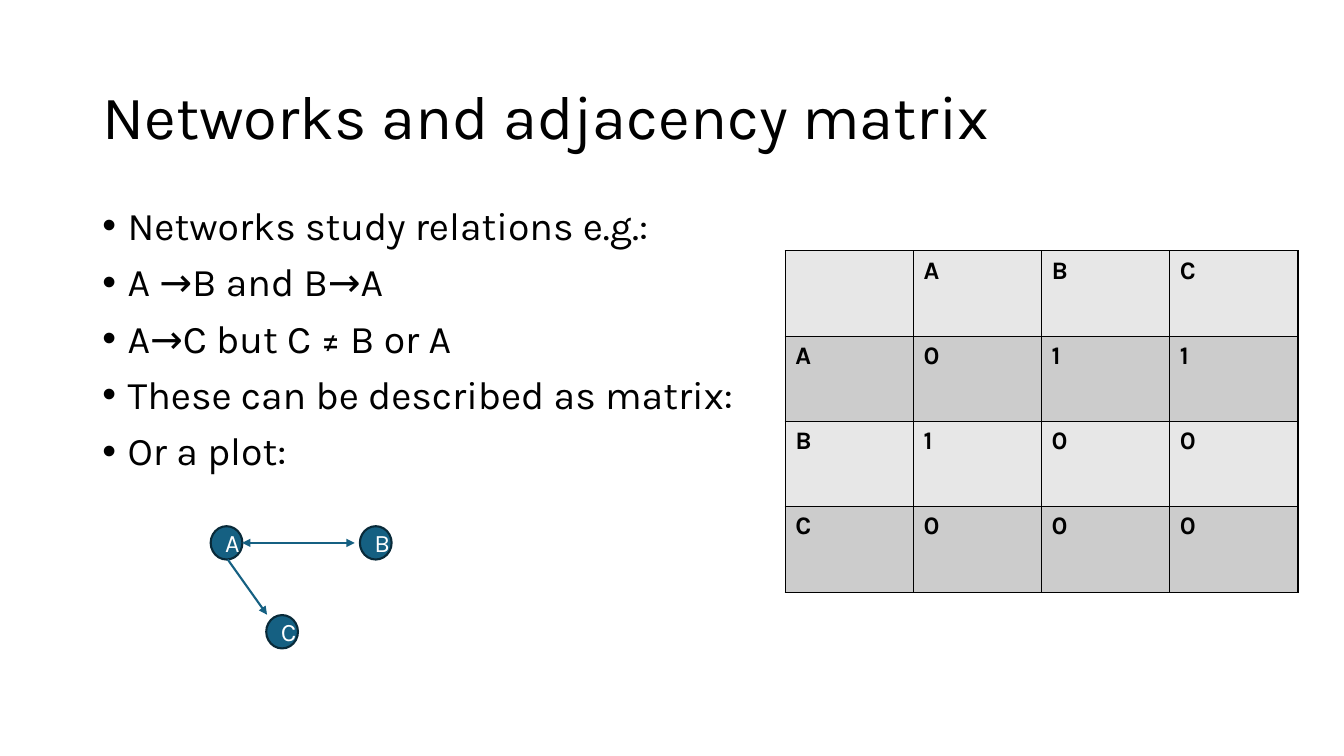
import pptx
import pptx.dml.color
import pptx.enum.shapes
import pptx.enum.text
import pptx.oxml
import pptx.oxml.ns
import pptx.util
from dataclasses import dataclass

Cm = pptx.util.Cm
Pt = pptx.util.Pt
ANCHOR = pptx.enum.text.MSO_ANCHOR


@dataclass(frozen=True)
class Theme:
    font: str = "Karla"
    ink: str = "000000"
    node_fill: str = "156082"
    node_line: str = "092A39"
    node_text: str = "FFFFFF"
    row_fills: tuple = ("E7E7E7", "CCCCCC")
    title_size: int = 44
    body_size: int = 28
    label_size: int = 18
    line_width: float = 1.5
    border_width: float = 1


def color(value):
    return pptx.dml.color.RGBColor.from_string(value)


def add_xml(parent, tag, **attributes):
    element = pptx.oxml.parse_xml(f"<a:{tag} {pptx.oxml.ns.nsdecls('a')}/>")
    for name, value in attributes.items():
        element.set(name, str(value))
    parent.append(element)
    return element


class SlideBuilder:
    def __init__(self, slide, theme):
        self.slide = slide
        self.theme = theme

    def format_runs(self, paragraph, size, ink, bold=False):
        for run in paragraph.runs:
            run.font.name = self.theme.font
            run.font.size = Pt(size)
            run.font.bold = bold
            run.font.color.rgb = color(ink)

    def text(self, box, lines, size, anchor=ANCHOR.TOP, bullets=False):
        text_frame = self.slide.shapes.add_textbox(*map(Cm, box)).text_frame
        text_frame.word_wrap = True
        text_frame.vertical_anchor = anchor
        text_frame.text = "\n".join(lines)
        for index, paragraph in enumerate(text_frame.paragraphs):
            if bullets:
                properties = paragraph._p.get_or_add_pPr()
                indent = Cm(0.64)
                properties.set("marL", str(indent))
                properties.set("indent", str(-indent))
                add_xml(properties, "buFont", typeface="Arial")
                add_xml(properties, "buChar", char="•")
            paragraph.line_spacing = 0.9
            if index:
                paragraph.space_before = Pt(10)
            self.format_runs(paragraph, size, self.theme.ink)

    def border(self, cell):
        properties = cell._tc.get_or_add_tcPr()
        for side in ("lnL", "lnR", "lnT", "lnB"):
            line = add_xml(properties, side, w=Pt(self.theme.border_width))
            add_xml(add_xml(line, "solidFill"), "srgbClr", val=self.theme.ink)

    def matrix(self, left, top, column_width, row_height, rows):
        row_count, column_count = len(rows), len(rows[0])
        table = self.slide.shapes.add_table(
            row_count, column_count, Cm(left), Cm(top),
            Cm(column_width * column_count), Cm(row_height * row_count)).table
        for column in table.columns:
            column.width = Cm(column_width)
        for row_index, values in enumerate(rows):
            table.rows[row_index].height = Cm(row_height)
            for column_index, value in enumerate(values):
                cell = table.cell(row_index, column_index)
                self.border(cell)
                cell.fill.solid()
                cell.fill.fore_color.rgb = color(self.theme.row_fills[row_index % 2])
                cell.text_frame.text = value
                self.format_runs(cell.text_frame.paragraphs[0],
                                 self.theme.label_size, self.theme.ink, bold=True)

    def node(self, name, left, top):
        shape = self.slide.shapes.add_shape(
            pptx.enum.shapes.MSO_SHAPE.OVAL, Cm(left), Cm(top), Cm(0.8), Cm(0.84))
        shape.shadow.inherit = False
        shape.fill.solid()
        shape.fill.fore_color.rgb = color(self.theme.node_fill)
        shape.line.color.rgb = color(self.theme.node_line)
        shape.line.width = Pt(self.theme.line_width)
        shape.text_frame.text = name
        shape.text_frame.vertical_anchor = ANCHOR.MIDDLE
        paragraph = shape.text_frame.paragraphs[0]
        paragraph.alignment = pptx.enum.text.PP_ALIGN.CENTER
        self.format_runs(paragraph, self.theme.label_size, self.theme.node_text)

    def arrow(self, start, end, both_ways=False):
        connector = self.slide.shapes.add_connector(
            pptx.enum.shapes.MSO_CONNECTOR.STRAIGHT, *map(Cm, start + end))
        connector.line.color.rgb = color(self.theme.node_fill)
        connector.line.width = Pt(self.theme.line_width)
        line = connector.line._get_or_add_ln()
        if both_ways:
            add_xml(line, "headEnd", type="triangle")
        add_xml(line, "tailEnd", type="triangle")
        add_xml(connector._element.spPr, "effectLst")


def main():
    presentation = pptx.Presentation()
    presentation.slide_width = Cm(33.87)
    presentation.slide_height = Cm(19.05)
    theme = Theme()
    builder = SlideBuilder(
        presentation.slides.add_slide(presentation.slide_layouts[6]), theme)

    # Title and bullets
    builder.text((2.33, 1.17, 29.21, 3.68), ["Networks and adjacency matrix"],
                 theme.title_size, anchor=ANCHOR.MIDDLE)
    builder.text((2.33, 5.08, 29.21, 12.09), [
        "Networks study relations e.g.:",
        "A →B and B→A",
        "A→C but C ≠ B or A",
        "These can be described as matrix:",
        "Or a plot:",
    ], theme.body_size, bullets=True)

    # Adjacency matrix
    builder.matrix(19.79, 6.32, 3.23, 2.15, [
        ["", "A", "B", "C"],
        ["A", "0", "1", "1"],
        ["B", "1", "0", "0"],
        ["C", "0", "0", "0"],
    ])

    # Network plot
    for name, left, top in (("A", 5.31, 13.26), ("B", 9.07, 13.26), ("C", 6.71, 15.5)):
        builder.node(name, left, top)
    builder.arrow((6.1, 13.68), (8.94, 13.68), both_ways=True)
    builder.arrow((5.74, 14.1), (6.73, 15.49))

    presentation.save("out.pptx")


if __name__ == "__main__":
    main()
